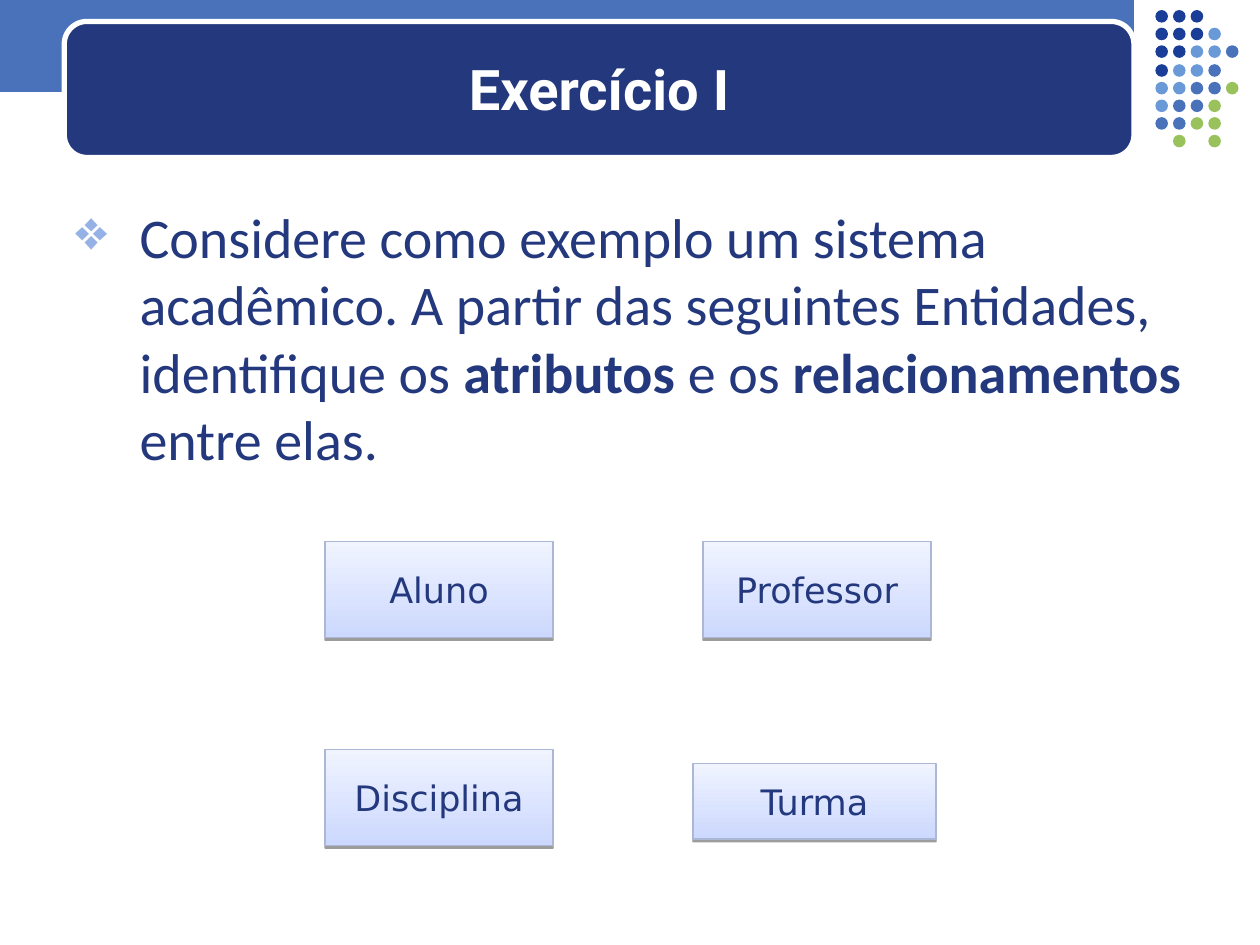
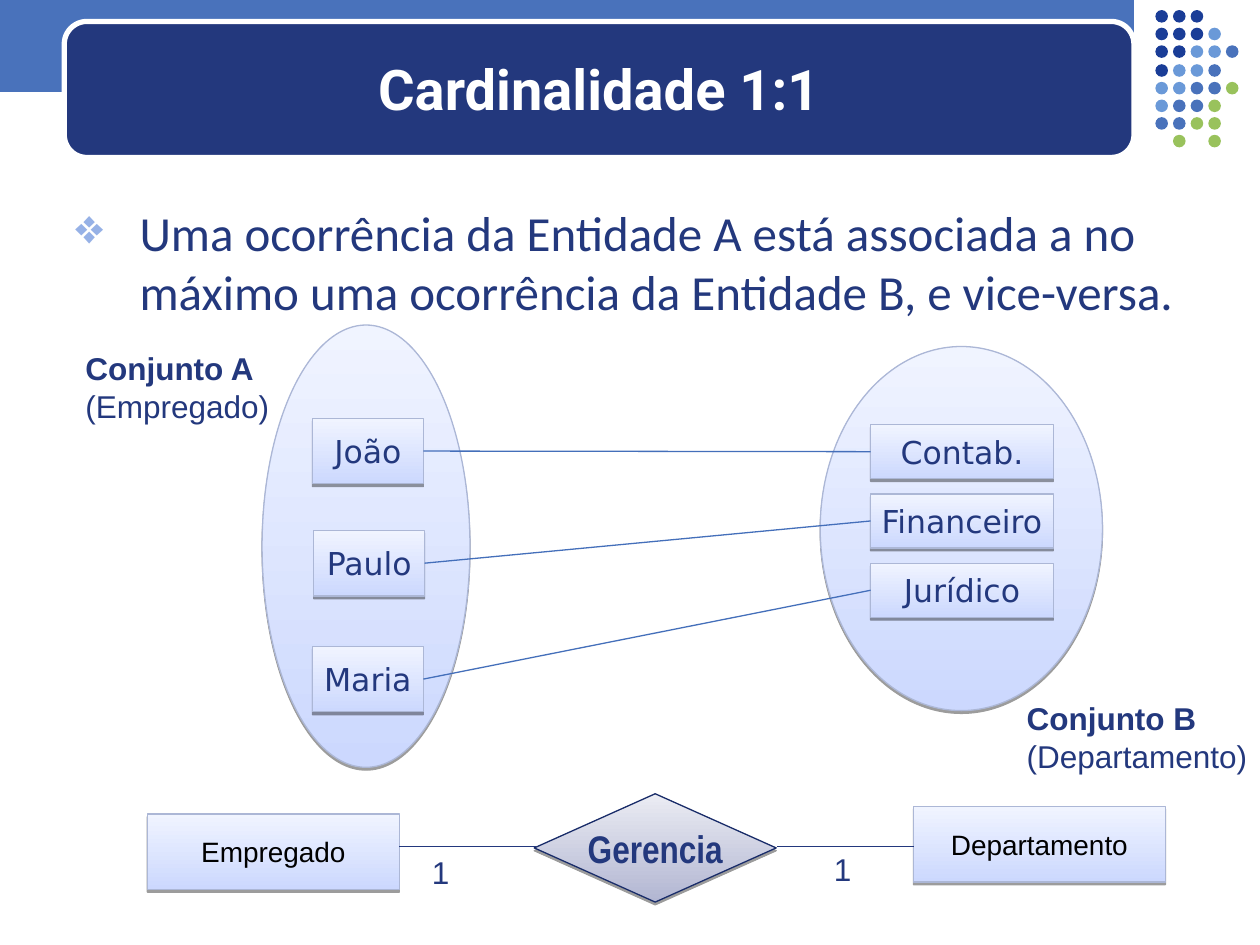
import lxml.etree
import pptx
import pptx.dml.color
import pptx.enum.shapes
import pptx.enum.text
import pptx.oxml
import pptx.oxml.ns
import pptx.util

RGB = pptx.dml.color.RGBColor
PRESET = pptx.enum.shapes.MSO_SHAPE
ALIGN = pptx.enum.text.PP_ALIGN
MIDDLE = pptx.enum.text.MSO_ANCHOR.MIDDLE
STRAIGHT = pptx.enum.shapes.MSO_CONNECTOR.STRAIGHT
qn = pptx.oxml.ns.qn

PX = 9144  # 100 px to the inch

WHITE = RGB(0xFF, 0xFF, 0xFF)
BLACK = RGB(0x00, 0x00, 0x00)
NAVY = RGB(0x23, 0x38, 0x7D)
DARK_NAVY = RGB(0x19, 0x2C, 0x69)
MID_BLUE = RGB(0x49, 0x72, 0xBB)
LINK_BLUE = RGB(0x44, 0x6F, 0xBA)
BULLET_BLUE = RGB(0x96, 0xB1, 0xE6)
PALE_EDGE = RGB(0xAC, 0xB7, 0xD6)
PALE_BLUES = RGB(0xCC, 0xD8, 0xFE), RGB(0xF0, 0xF4, 0xFF)
GREY_BLUES = RGB(0xB2, 0xB6, 0xD2), RGB(0xEB, 0xEC, 0xF3)
DOT_COLOURS = {
    "D": RGB(0x1A, 0x3D, 0x97),
    "L": RGB(0x6A, 0x99, 0xD8),
    "M": MID_BLUE,
    "G": RGB(0x99, 0xC2, 0x5C),
}
DOT_ROWS = ["DDD", "DDDL", "DDLLM", "DLLM", "LLMMG", "LMMG", "MMGG", ".G.G"]

SHADOW = (
    '<a:outerShdw xmlns:a="http://schemas.openxmlformats.org/drawingml/2006/main" '
    'blurRad="0" dist="20000" dir="5400000" rotWithShape="0">'
    '<a:srgbClr val="000000"><a:alpha val="38000"/></a:srgbClr></a:outerShdw>'
)


def write(shape, lines, size, font, colour=NAVY, align=ALIGN.CENTER, wrap=False):
    """Fill the shape with one paragraph per line and return the paragraphs."""
    frame = shape.text_frame
    frame.word_wrap = wrap
    frame.text = "\n".join(lines)
    for paragraph in frame.paragraphs:
        paragraph.alignment = align
        paragraph.font.size = pptx.util.Pt(size)
        paragraph.font.name = font
        paragraph.font.color.rgb = colour
    return frame.paragraphs


def add_block(slide, preset, box, shades=PALE_BLUES, edge=PALE_EDGE):
    """Add a shape with a vertical gradient, from bottom to top, and a low shadow."""
    block = slide.shapes.add_shape(preset, *(PX * n for n in box))
    block.fill.gradient()
    block.fill.gradient_angle = 90
    for stop, shade in zip(block.fill.gradient_stops, shades):
        stop.color.rgb = shade
    block.line.color.rgb = edge
    block.line.width = pptx.util.Pt(0.75)
    block.shadow.inherit = False
    effects = block.element.spPr.find(qn("a:effectLst"))
    effects.append(pptx.oxml.parse_xml(SHADOW))
    block.text_frame.vertical_anchor = MIDDLE
    return block


deck = pptx.Presentation()
deck.slide_width = 1000 * PX
deck.slide_height = 750 * PX

# Band, title and bulleted statement of each slide
contents = [
    ("Exercício I", 32, 8, [
        ("Considere como exemplo um sistema acadêmico. A partir das seguintes "
         "Entidades, identifique os ", False),
        ("atributos", True),
        (" e os ", False),
        ("relacionamentos", True),
        (" entre elas.", False),
    ]),
    ("Cardinalidade 1:1", 28, 7, [
        ("Uma ocorrência da Entidade A está associada a no máximo uma "
         "ocorrência da Entidade B, e vice-versa.", False),
    ]),
]
slides = []
for heading, statement_size, space_before, statement_runs in contents:
    slide = deck.slides.add_slide(deck.slide_layouts[6])
    slides.append(slide)

    band = slide.shapes.add_shape(PRESET.RECTANGLE, 0, 0, 900 * PX, 73 * PX)
    plate = slide.shapes.add_shape(
        PRESET.ROUNDED_RECTANGLE, 51 * PX, 17 * PX, 849 * PX, 108 * PX)
    plate.line.color.rgb = WHITE
    plate.line.width = pptx.util.Pt(3)
    decorations = [(band, MID_BLUE), (plate, NAVY)]
    for row, codes in enumerate(DOT_ROWS):
        for column, code in enumerate(codes):
            if code in DOT_COLOURS:
                dot = slide.shapes.add_shape(
                    PRESET.OVAL, (917 + 14 * column) * PX,
                    (8 + round(14.2 * row)) * PX, 10 * PX, 10 * PX)
                decorations.append((dot, DOT_COLOURS[code]))
    for decoration, colour in decorations:
        decoration.fill.solid()
        decoration.fill.fore_color.rgb = colour
        decoration.shadow.inherit = False
        if decoration is not plate:
            decoration.line.fill.background()

    statement_box = slide.shapes.add_textbox(50 * PX, 156 * PX, 917 * PX, 535 * PX)
    statement = write(statement_box, [""], statement_size, "Calibri",
                      align=ALIGN.LEFT, wrap=True)[0]
    statement.space_before = pptx.util.Pt(space_before)
    statement.space_after = pptx.util.Pt(6)
    for text, bold in statement_runs:
        run = statement.add_run()
        run.text = text
        if bold:
            run.font.bold = True
    properties = statement._p.get_or_add_pPr()
    properties.set("marL", str(51 * PX))
    properties.set("indent", str(-51 * PX))
    bullet_colour = lxml.etree.Element(qn("a:buClr"))
    lxml.etree.SubElement(bullet_colour, qn("a:srgbClr"), val=str(BULLET_BLUE))
    bullet = lxml.etree.Element(qn("a:buChar"), char="❖")
    font_defaults = properties.find(qn("a:defRPr"))
    font_defaults.addprevious(bullet_colour)
    font_defaults.addprevious(bullet)

    title_box = slide.shapes.add_textbox(60 * PX, 23 * PX, 831 * PX, 94 * PX)
    title_box.text_frame.vertical_anchor = MIDDLE
    title = write(title_box, [heading], 32, "Roboto", WHITE, wrap=True)[0]
    title.font.bold = True

exercise, cardinality = slides

# Exercise: the four entities
for entity, box in [
    ("Aluno", (258, 430, 181, 76)),
    ("Disciplina", (258, 595, 181, 76)),
    ("Professor", (558, 430, 181, 76)),
    ("Turma", (550, 606, 193, 60)),
]:
    write(add_block(exercise, PRESET.RECTANGLE, box), [entity], 20, "DejaVu Sans")

# Cardinality: the two sets and their members
add_block(cardinality, PRESET.OVAL, (208, 258, 165, 351))
employees = []
for name, left, top in [("João", 248, 332), ("Paulo", 249, 421), ("Maria", 248, 513)]:
    employee = add_block(cardinality, PRESET.RECTANGLE, (left, top, 88, 52))
    write(employee, [name], 18, "DejaVu Sans")
    employees.append(employee)

add_block(cardinality, PRESET.OVAL, (651, 275, 224, 289))
departments = []
for index, name in enumerate(["Contab.", "Financeiro", "Jurídico"]):
    department = add_block(
        cardinality, PRESET.RECTANGLE, (691, 337 + 55 * index, 145, 43))
    write(department, [name], 18, "DejaVu Sans")
    departments.append(department)

# Cardinality: the entity-relationship row
for entity, left, top in [("Empregado", 117, 646), ("Departamento", 725, 640)]:
    entity_box = add_block(cardinality, PRESET.RECTANGLE, (left, top, 200, 60))
    write(entity_box, [entity], 16, "Arial", BLACK)
relationship = add_block(cardinality, PRESET.FLOWCHART_DECISION,
                         (424, 630, 192, 86), GREY_BLUES, DARK_NAVY)
write(relationship, ["Gerencia"], 22, "Arial Narrow")[0].font.bold = True

for lines, box in [
    (["1"], (652, 670, 34, 40)),
    (["1"], (333, 672, 34, 40)),
    (["Conjunto A", "(Empregado)"], (58, 272, 166, 70)),
    (["Conjunto B", "(Departamento)"], (805, 550, 195, 70)),
]:
    label = cardinality.shapes.add_textbox(*(PX * n for n in box))
    label.text_frame.auto_size = pptx.enum.text.MSO_AUTO_SIZE.SHAPE_TO_FIT_TEXT
    paragraphs = write(label, lines, 18, "Arial", align=ALIGN.LEFT)
    paragraphs[0].font.bold = len(lines) > 1

# Cardinality: lines of the row, then links between the members
links = []
for start, end in [(725, 617), (317, 425)]:
    row_line = cardinality.shapes.add_connector(
        STRAIGHT, start * PX, 672 * PX, end * PX, 672 * PX)
    links.append((row_line, NAVY))
for employee, department in zip(employees, departments):
    member_link = cardinality.shapes.add_connector(STRAIGHT, 0, 0, 0, 0)
    member_link.begin_connect(employee, 3)
    member_link.end_connect(department, 1)
    links.append((member_link, LINK_BLUE))
for link, colour in links:
    link.line.color.rgb = colour
    link.line.width = pptx.util.Pt(0.75)
    lxml.etree.SubElement(link.element.spPr, qn("a:effectLst"))

deck.save("out.pptx")
